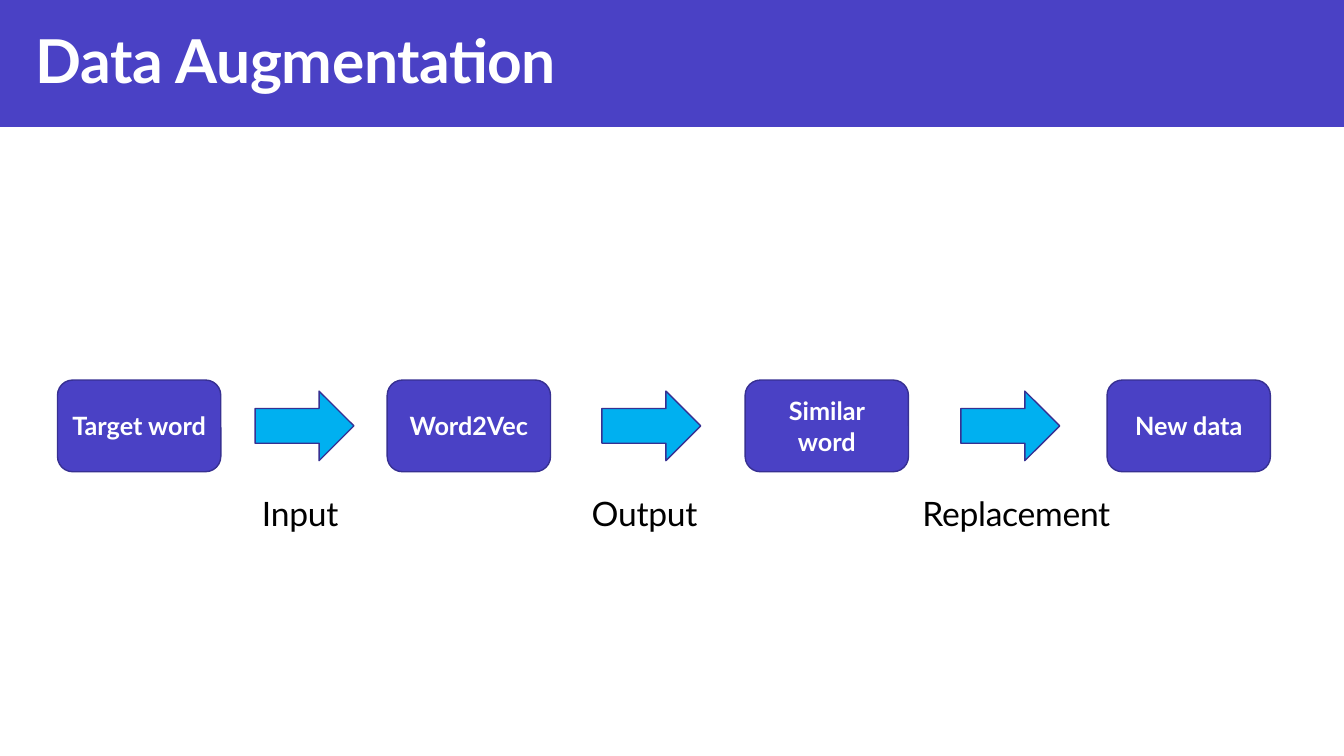
from pptx import Presentation
from pptx.dml.color import RGBColor
from pptx.enum.shapes import MSO_SHAPE as Preset
from pptx.enum.text import MSO_ANCHOR as Anchor, PP_ALIGN as Align
from pptx.util import Inches, Pt

INDIGO = RGBColor(0x4A, 0x41, 0xC5)
OUTLINE = RGBColor(0x37, 0x30, 0x92)
SKY = RGBColor(0x00, 0xB0, 0xF0)
WHITE = RGBColor(0xFF, 0xFF, 0xFF)
BLACK = RGBColor(0x00, 0x00, 0x00)
FONT = "Lato"

SLIDE_W, SLIDE_H = 13.33, 7.5
STEP_W, STEP_H = 1.62, 0.91
ARROW_W, ARROW_H = 0.98, 0.69
LABEL_H = 0.58

# Left edges along the flow, in inches
STEPS = [("Target word", 0.57), ("Word2Vec", 3.84),
         ("Similar word", 7.39), ("New data", 10.98)]
# Arrow left, label text, label left, label width
LINKS = [(2.53, "Input", 2.5, 1.78), (5.97, "Output", 5.77, 1.78),
         (9.53, "Replacement", 9.05, 2.26)]


def inches(*lengths):
    return [Inches(length) for length in lengths]


def write(frame, text, size, color, bold=False, align=Align.LEFT, tracking=None):
    """Fill the first paragraph of a text frame; tracking is in 1/100 pt."""
    frame.word_wrap = True
    paragraph = frame.paragraphs[0]
    run = paragraph.add_run()
    run.text = text
    if tracking is not None:
        run._r.get_or_add_rPr().set("spc", str(tracking))
    paragraph.alignment = align
    font = paragraph.font
    font.name, font.size, font.bold = FONT, Pt(size), bold
    font.color.rgb = color
    return paragraph


def add_block(slide, preset, box, fill, outline=None):
    block = slide.shapes.add_shape(preset, *inches(*box))
    block.shadow.inherit = False
    block.fill.solid()
    block.fill.fore_color.rgb = fill
    if outline is None:
        block.line.fill.background()
    else:
        block.line.color.rgb = outline
        block.line.width = Pt(1)
    return block


def add_header(slide, left, top, width, height):
    band = add_block(slide, Preset.RECTANGLE, (left, top, width, height), INDIGO)
    title = slide.shapes.title
    title._element.addprevious(band._element)  # band goes behind the title
    title.left, title.top, title.width, title.height = inches(
        left + 0.25, top + 0.17, 10.3, 0.84)
    title.text_frame.vertical_anchor = Anchor.MIDDLE
    write(title.text_frame, "Data Augmentation", 43.2, WHITE, bold=True, tracking=-20)


def add_flow(slide, top):
    # Arrows, centred on the row of steps, with their labels below
    arrow_top = top + (STEP_H - ARROW_H) / 2
    for arrow_left, text, label_left, label_width in LINKS:
        add_block(slide, Preset.RIGHT_ARROW,
                  (arrow_left, arrow_top, ARROW_W, ARROW_H), SKY, OUTLINE)
        label = slide.shapes.add_textbox(
            *inches(label_left, top + STEP_H + 0.12, label_width, LABEL_H))
        paragraph = write(label.text_frame, text, 24, BLACK, tracking=-20)
        paragraph.line_spacing = 1.1

    # Steps
    for text, left in STEPS:
        step = add_block(slide, Preset.ROUNDED_RECTANGLE,
                         (left, top, STEP_W, STEP_H), INDIGO, OUTLINE)
        frame = step.text_frame
        frame.margin_left = frame.margin_right = Inches(0.09)
        frame.vertical_anchor = Anchor.MIDDLE
        write(frame, text, 18, WHITE, bold=True, align=Align.CENTER)


def main():
    deck = Presentation()
    deck.slide_width, deck.slide_height = inches(SLIDE_W, SLIDE_H)
    slide = deck.slides.add_slide(deck.slide_layouts[5])
    add_header(slide, 0, 0, SLIDE_W, 1.26)
    add_flow(slide, 3.77)
    deck.save("out.pptx")


if __name__ == "__main__":
    main()
